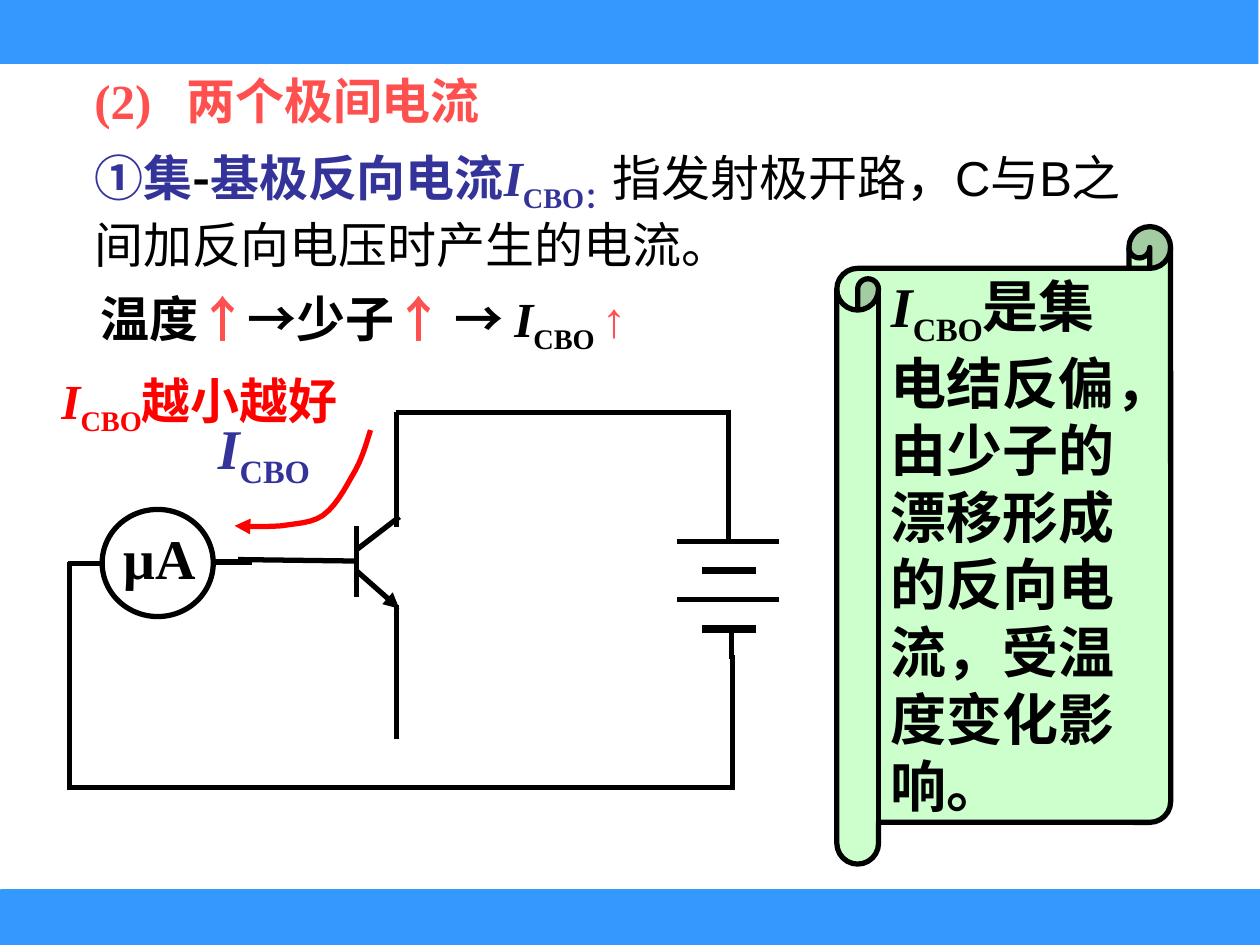
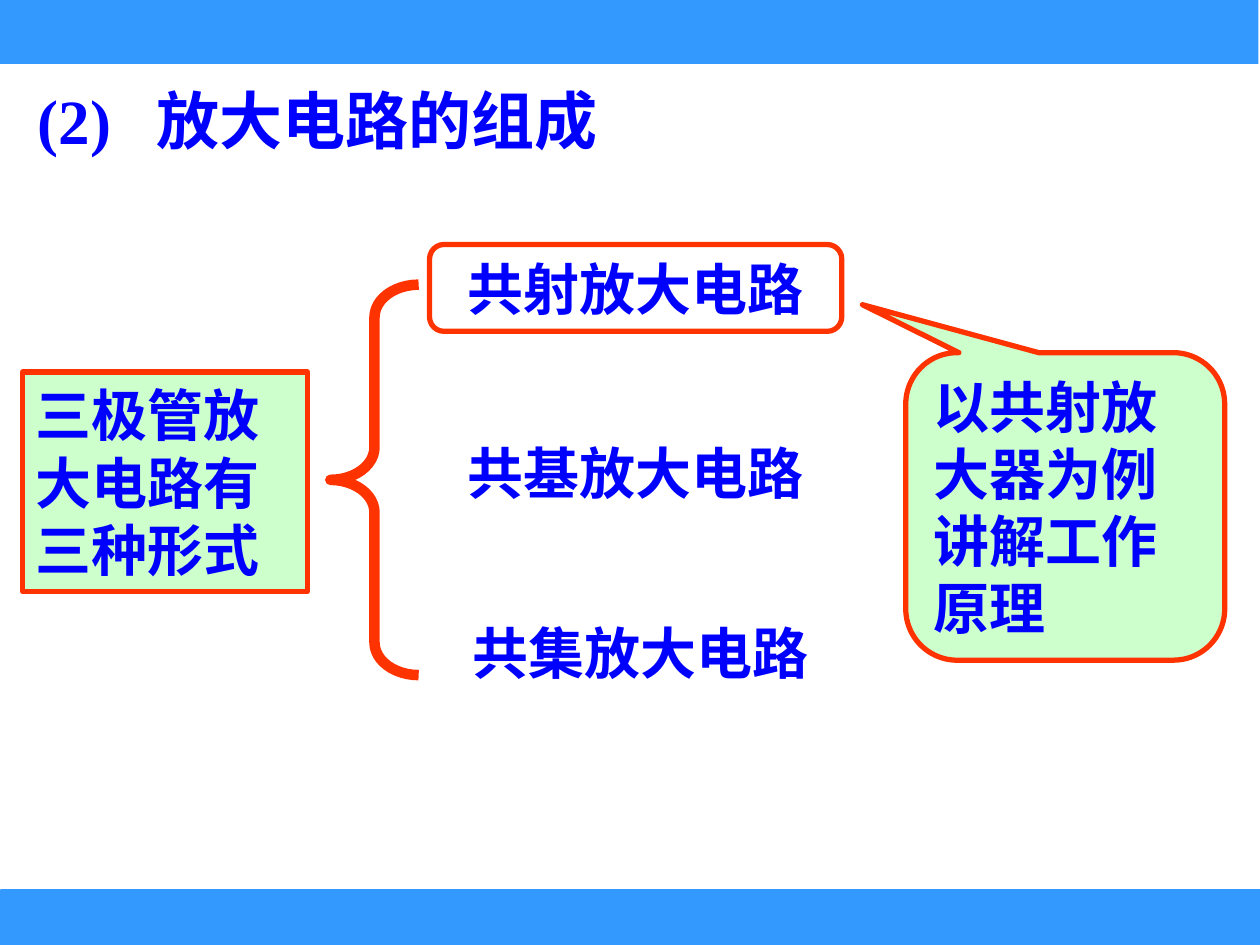
from lxml import etree
from pptx import Presentation
from pptx.dml.color import RGBColor
from pptx.enum.shapes import MSO_CONNECTOR, MSO_SHAPE
from pptx.enum.text import MSO_ANCHOR, MSO_AUTO_SIZE, PP_ALIGN
from pptx.oxml.ns import qn
from pptx.util import Cm, Pt

STRAIGHT = MSO_CONNECTOR.STRAIGHT
RECTANGLE, ROUNDED = MSO_SHAPE.RECTANGLE, MSO_SHAPE.ROUNDED_RECTANGLE
OVAL, BRACE = MSO_SHAPE.OVAL, MSO_SHAPE.LEFT_BRACE
SCROLL, CALLOUT = MSO_SHAPE.HORIZONTAL_SCROLL, MSO_SHAPE.ROUNDED_RECTANGULAR_CALLOUT
TOP, MIDDLE = MSO_ANCHOR.TOP, MSO_ANCHOR.MIDDLE
LEFT, CENTER = PP_ALIGN.LEFT, PP_ALIGN.CENTER
GROW = MSO_AUTO_SIZE.SHAPE_TO_FIT_TEXT

BAND_BLUE = RGBColor(0x33, 0x99, 0xFF)
BLACK = RGBColor(0, 0, 0)
INDIGO = RGBColor(0x33, 0x33, 0x99)
BLUE = RGBColor(0, 0, 0xFF)
CORAL = RGBColor(0xFF, 0x50, 0x50)
RED = RGBColor(0xFF, 0, 0)
ORANGE = RGBColor(0xFF, 0x33, 0)
PALE_GREEN = RGBColor(0xCC, 0xFF, 0xCC)

SERIF, SANS, CHINESE = "Times New Roman", "Arial", "Noto Sans CJK SC"
SUBSCRIPT = "-25000"
TITLE_ONLY = 5


def lengths(*values):
    """Turn centimetres into slide lengths."""
    return [Cm(value) for value in values]


def write(shape, runs, size, color, anchor=MIDDLE, alignment=LEFT, tab=None):
    """Write one paragraph of (text, changes) runs into a shape."""
    frame = shape.text_frame
    settings = {"word_wrap": True, "auto_size": GROW, "vertical_anchor": anchor}
    for name, value in settings.items():
        setattr(frame, name, value)
    paragraph = frame.paragraphs[0]
    paragraph.alignment = alignment
    if tab:
        tabs = etree.SubElement(paragraph._p.get_or_add_pPr(), qn("a:tabLst"))
        etree.SubElement(tabs, qn("a:tab"), pos=str(Cm(tab)), algn="l")
    for text, changes in runs:
        run = paragraph.add_run()
        run.text = text
        values = {"size": Pt(size), "bold": True, "italic": False, "name": SERIF}
        values.update(changes)
        run.font.color.rgb = values.pop("color", color)
        baseline = values.pop("baseline", None)
        for name, value in values.items():
            setattr(run.font, name, value)
        properties = run._r.get_or_add_rPr()
        if baseline:
            properties.set("baseline", baseline)
        etree.SubElement(properties, qn("a:ea"), typeface=CHINESE)


def current_symbol(tail="", **changes):
    """Return the runs of the symbol I with subscript CBO."""
    return [("I", {"italic": True, **changes}),
            ("CBO" + tail, {"baseline": SUBSCRIPT, **changes})]


def add_text(slide, box, runs, size, color, **layout):
    """Add a text box."""
    write(slide.shapes.add_textbox(*lengths(*box)), runs, size, color, **layout)


def add_title(slide, box, text, size, color, tab):
    """Move and fill the title placeholder."""
    title = slide.shapes.title
    for name, value in zip(("left", "top", "width", "height"), lengths(*box)):
        setattr(title, name, value)
    write(title, [(text, {})], size, color, anchor=TOP, tab=tab)


def add_figure(slide, kind, box, line=None, fill=None, width=3, adjustments=()):
    """Add a preset shape without shadow."""
    shape = slide.shapes.add_shape(kind, *lengths(*box))
    shape.shadow.inherit = False
    for index, value in enumerate(adjustments):
        shape.adjustments[index] = value
    if fill is None:
        shape.fill.background()
    else:
        shape.fill.solid()
        shape.fill.fore_color.rgb = fill
    if line is None:
        shape.line.fill.background()
    else:
        shape.line.color.rgb = line
        shape.line.width = Pt(width)
    return shape


def add_arrowhead(shape):
    """Put a triangle at the end of a line."""
    outline = shape.element.spPr.find(qn("a:ln"))
    etree.SubElement(outline, qn("a:tailEnd"), type="triangle")


def add_wire(slide, origin, start, end, width=3):
    """Draw a black line between two points measured from the origin."""
    points = [base + offset for point in (start, end)
              for base, offset in zip(origin, point)]
    wire = slide.shapes.add_connector(STRAIGHT, *lengths(*points))
    wire.line.color.rgb = BLACK
    wire.line.width = Pt(width)
    etree.SubElement(wire.element.spPr, qn("a:effectLst"))
    return wire


def bezier_points(points, steps=6):
    """Return points along a chain of cubic curves."""
    result = []
    for first in range(0, len(points) - 1, 3):
        controls = points[first:first + 4]
        for step in range(1, steps + 1):
            t = step / steps
            weights = ((1 - t) ** 3, 3 * t * (1 - t) ** 2, 3 * t * t * (1 - t), t ** 3)
            result.append(tuple(sum(weight * control[axis]
                                    for weight, control in zip(weights, controls))
                                for axis in (0, 1)))
    return result


def add_current_arrow(slide, origin):
    """Draw the curved red arrow of the reverse current."""
    controls = [(6.07, 0.36), (5.97, 0.69), (5.87, 1.02), (5.69, 1.3),
                (5.54, 1.57), (5.36, 1.9), (5.11, 2.08),
                (4.88, 2.24), (4.57, 2.24), (4.27, 2.29),
                (3.96, 2.31), (3.66, 2.31), (3.33, 2.29)]
    places = [lengths(origin[0] + x, origin[1] + y)
              for x, y in [controls[0]] + bezier_points(controls)]
    builder = slide.shapes.build_freeform(*places[0])
    builder.add_line_segments(places[1:], close=False)
    arrow = builder.convert_to_shape()
    arrow.shadow.inherit = False
    arrow.fill.background()
    arrow.line.color.rgb = RED
    arrow.line.width = Pt(3)
    add_arrowhead(arrow)


def add_transistor(slide, origin):
    """Draw the transistor with its three leads."""
    bar, lead = 5.79, 6.6
    for start, end in (((3.4, 2.97), (bar, 3)),
                       ((bar, 2.29), (bar, 3.73)),
                       ((bar, 2.77), (6.65, 2.11)),
                       ((lead, 0), (lead, 2.31)),
                       ((lead, 3.89), (lead, 6.58))):
        add_wire(slide, origin, start, end)
    add_arrowhead(add_wire(slide, origin, (bar, 3.2), (6.65, 3.96)))


def add_battery(slide, origin):
    """Draw the battery as four plates, long and short in turn."""
    plates = ((12.24, 14.3, 3), (12.75, 13.84, 4.5))
    for index in range(4):
        left, right, width = plates[index % 2]
        height = 2.6 + 0.59 * index
        add_wire(slide, origin, (right, height), (left, height), width)
    add_wire(slide, origin, (13.28, 2.01), (13.28, 2.6))
    add_wire(slide, origin, (13.34, 4.37), (13.34, 4.98))


def add_meter(slide, left, top):
    """Draw the microammeter."""
    add_figure(slide, OVAL, (left, top, 2.24, 2.16), BLACK)
    add_text(slide, (left + 0.05, top + 0.17, 2.21, 1.6), [("μA", {})], 32, BLACK,
             alignment=CENTER)


def add_circuit(slide, left, top):
    """Draw the measuring circuit from its top left corner."""
    origin = (left, top)
    add_transistor(slide, origin)
    add_meter(slide, left + 0.66, top + 1.96)
    add_battery(slide, origin)
    for start, end in (((2.95, 3.02), (3.68, 3.02)),
                       ((0.64, 3.05), (-0.03, 3.05)),
                       ((6.58, 0), (13.26, 0)),
                       ((13.28, 2.03), (13.28, -0.05)),
                       ((0, 3.02), (0, 7.62)),
                       ((0, 7.57), (13.31, 7.57)),
                       ((13.36, 4.9), (13.36, 7.62))):
        add_wire(slide, origin, start, end)
    add_text(slide, (left + 2.51, top, 2.82, 1.6), current_symbol(), 32, INDIGO,
             alignment=CENTER)
    add_current_arrow(slide, origin)


def add_forms(slide, left, top):
    """Show the three amplifier forms beside a brace."""
    summary = add_figure(slide, RECTANGLE, (left, top + 2.57, 5.74, 4.42),
                         ORANGE, PALE_GREEN)
    write(summary, [("三极管放大电路有三种形式", {})], 32, BLUE)
    add_figure(slide, BRACE, (left + 6.2, top + 0.81, 1.78, 7.87), ORANGE,
               width=6, adjustments=(0.37, 0.5))
    for name, shift, drop in (("共射放大电路", 0, 0.07), ("共基放大电路", 0, 3.78),
                              ("共集放大电路", 0.1, 7.41)):
        add_text(slide, (left + 8.71 + shift, top + drop, 7.98, 1.6),
                 [(name, {})], 32, BLUE)
    add_figure(slide, ROUNDED, (left + 8.2, top, 8.31, 1.75), ORANGE)
    callout = add_figure(slide, CALLOUT, (left + 17.8, top + 2.18, 6.43, 6.2),
                         ORANGE, PALE_GREEN, adjustments=(-0.636, -0.656, 0.167))
    write(callout, [("以共射放大器为例讲解工作原理", {})], 32, BLUE)


def add_bands(presentation, slide):
    """Put the two blue bands on the slide master."""
    tree = presentation.slide_master.shapes.element
    for box, line in (((0, -0.03, 25.37, 1.32), None),
                      ((0.03, 17.98, 25.37, 1.07), BAND_BLUE)):
        band = add_figure(slide, RECTANGLE, box, line, BAND_BLUE)
        tree.insert(2, band.element)


def fill_current_slide(slide):
    """Build the slide on the reverse current."""
    add_title(slide, (1.65, 1.3, 13.74, 1.45), "(2)\t两个极间电流", 28, CORAL, 1.85)
    plain = {"name": SANS, "bold": False, "color": BLACK}
    add_text(slide, (1.65, 2.9, 21.95, 2.67),
             [("①集", {}), ("-", {"name": CHINESE, "color": BLACK}),
              ("基极反向电流", {})] + current_symbol("：")
             + [("指发射极开路，C与B之间加反向电压时产生的电流。", plain)], 28, INDIGO)
    scroll = add_figure(slide, SCROLL, (16.87, 4.57, 6.73, 12.85), BLACK, PALE_GREEN,
                        adjustments=(0.125,))
    write(scroll, current_symbol()
          + [("是集电结反偏，由少子的漂移形成的反向电流，受温度变化影响。", {})], 32, BLACK)
    add_circuit(slide, 1.4, 8.31)
    rise = {"color": CORAL}
    add_text(slide, (1.78, 5.77, 14.63, 1.45),
             [("温度", {}), ("↑", rise), ("→少子", {}), ("↑ ", rise), ("→ ", {})]
             + current_symbol(" ") + [("↑", rise)], 28, BLACK)
    add_text(slide, (0.99, 7.34, 7.8, 1.45), current_symbol() + [("越小越好", {})],
             28, RED, anchor=TOP)


def fill_forms_slide(slide):
    """Build the slide on amplifier composition."""
    add_title(slide, (0.51, 1.52, 17.09, 1.78), "(2)\t放大电路的组成", 36, BLUE, 2.4)
    add_forms(slide, 0.46, 4.93)


def main():
    """Build and save the presentation."""
    presentation = Presentation()
    presentation.slide_width, presentation.slide_height = lengths(25.4, 19.05)
    layout = presentation.slide_layouts[TITLE_ONLY]
    for number, fill_slide in enumerate((fill_current_slide, fill_forms_slide)):
        slide = presentation.slides.add_slide(layout)
        if number == 0:
            add_bands(presentation, slide)
        fill_slide(slide)
    presentation.save("out.pptx")


if __name__ == "__main__":
    main()
